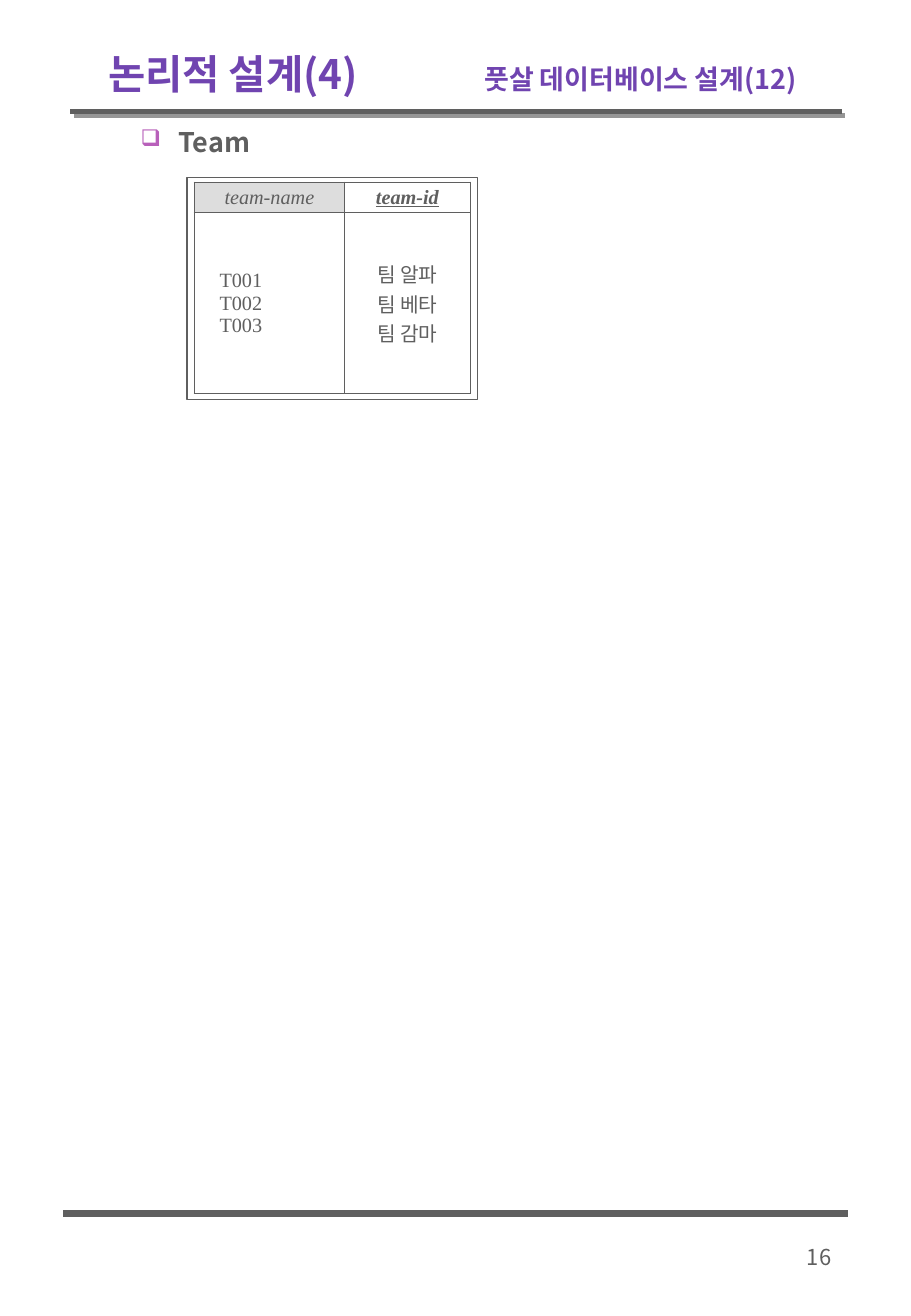
from lxml import etree
from pptx import Presentation
from pptx import util as u
from pptx.dml.color import RGBColor
from pptx.enum import shapes, text
from pptx.oxml.ns import qn

COLORS = {"ink": "5F5F5F", "title": "7044B0", "mark": "B860BA",
          "head": "DDDDDD", "paper": "FFFFFF", "shade": "969696"}
SANS, SERIF = "Noto Sans CJK KR", "Times New Roman"
LEFT, MID, RIGHT = text.PP_ALIGN.LEFT, text.PP_ALIGN.CENTER, text.PP_ALIGN.RIGHT


def rgb(name):
    """Return a named colour."""
    return RGBColor.from_string(COLORS[name])


def node(parent, tag, **attrs):
    """Append a DrawingML element and return it."""
    return etree.SubElement(parent, qn("a:" + tag), attrs)


def style(para, size, face=SANS, color="ink", align=LEFT, **marks):
    """Set the look of a whole paragraph."""
    para.alignment = align
    font = para.font
    font.size, font.name = u.Pt(size), face
    font.color.rgb = rgb(color)
    for key, value in marks.items():
        setattr(font, key, value)
    node(font._element, "ea", typeface=SANS)


def label(slide, box, anchor, left=0.25, top=0.13):
    """Add an empty wrapped text box and return its first paragraph."""
    frame = slide.shapes.add_textbox(*map(u.Cm, box)).text_frame
    frame.word_wrap = True
    frame.vertical_anchor = anchor
    frame.margin_left, frame.margin_top = u.Cm(left), u.Cm(top)
    return frame.paragraphs[0]


def rule(slide, left, right, y, width, shade=False):
    """Draw a level rule, with a hard shadow if asked."""
    line = slide.shapes.add_connector(
        shapes.MSO_CONNECTOR.STRAIGHT, *map(u.Cm, (left, y, right, y)))
    line.line.width = u.Pt(width)
    line.line.color.rgb = rgb("ink")
    effects = node(line._element.spPr, "effectLst")
    if shade:
        cast = node(effects, "outerShdw", dist=str(u.Pt(2.8)), dir="2700000",
                    algn="ctr", rotWithShape="0")
        node(cast, "srgbClr", val=COLORS["shade"])


def header(slide, box):
    """Place the title, its right part and the rule below."""
    left, top, width, height = box
    para = label(slide, box, text.MSO_ANCHOR.MIDDLE, left=0.79)
    stops = node(para._p.get_or_add_pPr(), "tabLst")
    node(stops, "tab", pos=str(u.Cm(7.87)), algn="l")
    style(para, 24, color="title", bold=True)
    para.add_run().text = "논리적 설계(4)\t"
    part = para.add_run()
    part.text = "풋살 데이터베이스 설계(12)"
    part.font.size = u.Pt(16)
    rule(slide, left, left + width - 0.08, top + height + 0.13, 3, True)


def body(slide, box):
    """Place the bulleted heading."""
    para = label(slide, box, text.MSO_ANCHOR.TOP, top=0.08)
    props = para._p.get_or_add_pPr()
    props.set("marL", str(u.Cm(2.06)))
    props.set("indent", str(u.Cm(-0.79)))
    node(node(props, "buClr"), "srgbClr", val=COLORS["mark"])
    node(props, "buSzPct", val="85000")
    node(props, "buChar", char="❑")
    style(para, 16, bold=True)
    para.add_run().text = "Team"


def fill(cell, lines, back, left=0, **look):
    """Write one table cell with its fill and borders."""
    cell.margin_left = u.Cm(left)
    cell.margin_right = cell.margin_top = cell.margin_bottom = 0
    cell.vertical_anchor = text.MSO_ANCHOR.MIDDLE
    cell.text = lines
    for para in cell.text_frame.paragraphs:
        style(para, 12, SERIF, **look)
    props = cell._tc.get_or_add_tcPr()
    for side in ("lnL", "lnR", "lnT", "lnB"):
        edge = node(props, side, w=str(u.Pt(0.75)))
        node(node(edge, "solidFill"), "srgbClr", val=COLORS["ink"])
    cell.fill.solid()
    cell.fill.fore_color.rgb = rgb(back)
    paint = props.find(qn("a:solidFill"))
    props.remove(paint)
    props.append(paint)


def team(slide, box):
    """Place the team table inside its outer frame."""
    left, top, width, height = box
    cols, rows = (3.15, 2.62), (0.64, 3.78)
    place = (left + 0.15, top + 0.1, sum(cols), sum(rows))
    grid = slide.shapes.add_table(2, 2, *map(u.Cm, place)).table
    grid.first_row = grid.horz_banding = False
    for col, size in zip(grid.columns, cols):
        col.width = u.Cm(size)
    for row, size in zip(grid.rows, rows):
        row.height = u.Cm(size)
    fill(grid.cell(0, 0), "team-name", "head", align=MID, italic=True)
    fill(grid.cell(0, 1), "team-id", "paper", align=MID,
         bold=True, italic=True, underline=True)
    fill(grid.cell(1, 0), "T001\nT002\nT003", "paper", left=0.53)
    fill(grid.cell(1, 1), "팀 알파\n팀 베타\n팀 감마", "paper", align=MID)
    frame = slide.shapes.add_shape(shapes.MSO_SHAPE.RECTANGLE, *map(u.Cm, box))
    frame.shadow.inherit = False
    frame.fill.background()
    frame.line.color.rgb = rgb("ink")
    frame.line.width = u.Pt(0.75)


def footer(slide, box):
    """Place the bottom rule and the page number."""
    left, top, width, height = box
    rule(slide, left, left + width, top, 4.5)
    place = (left + width - 2.69, top + 0.46, 2.59, height - 0.46)
    para = label(slide, place, text.MSO_ANCHOR.MIDDLE)
    style(para, 13, align=RIGHT)
    para.add_run().text = "16"


def main():
    """Build and save the slide."""
    deck = Presentation()
    deck.slide_width, deck.slide_height = u.Cm(19.05), u.Cm(27.51)
    slide = deck.slides.add_slide(deck.slide_layouts[6])
    header(slide, (1.47, 0.84, 16.21, 1.37))
    body(slide, (1.42, 2.54, 16.21, 22.66))
    team(slide, (3.91, 3.71, 6.07, 4.65))
    footer(slide, (1.32, 25.37, 16.41, 1.32))
    deck.save("out.pptx")


if __name__ == "__main__":
    main()
